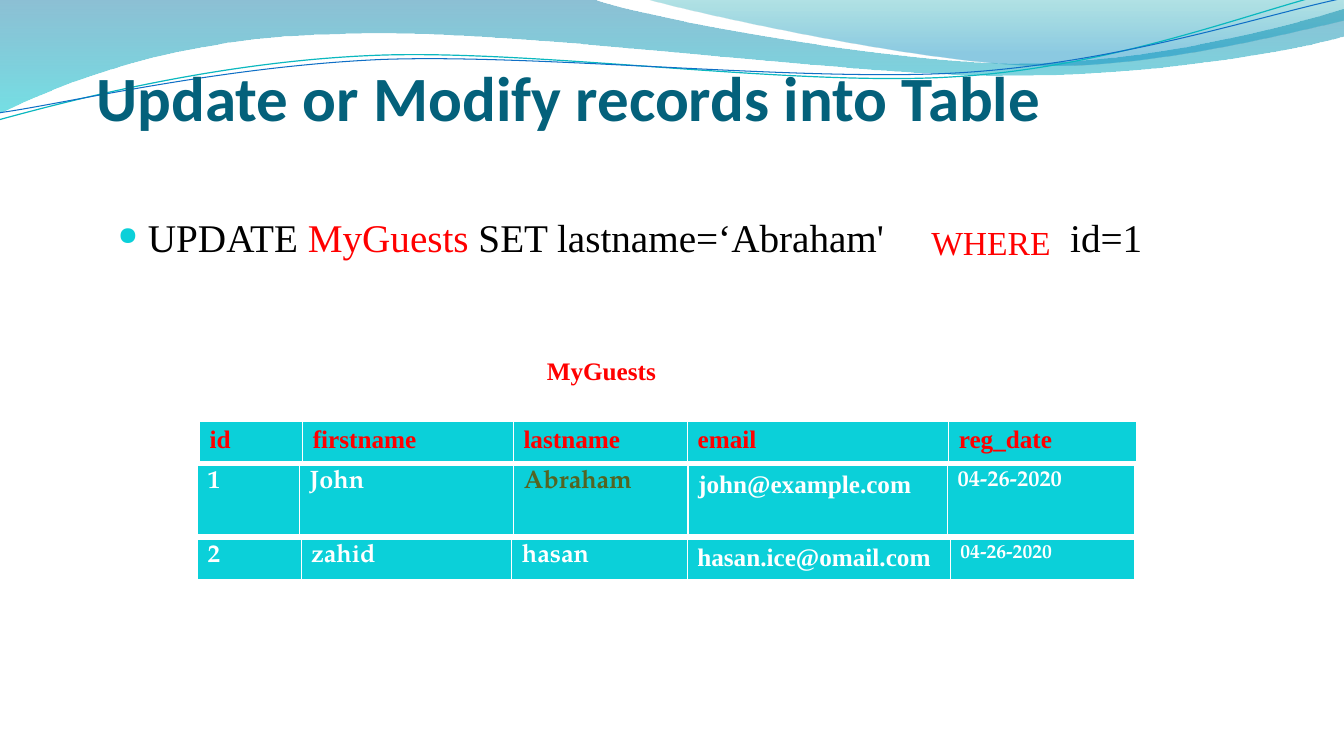
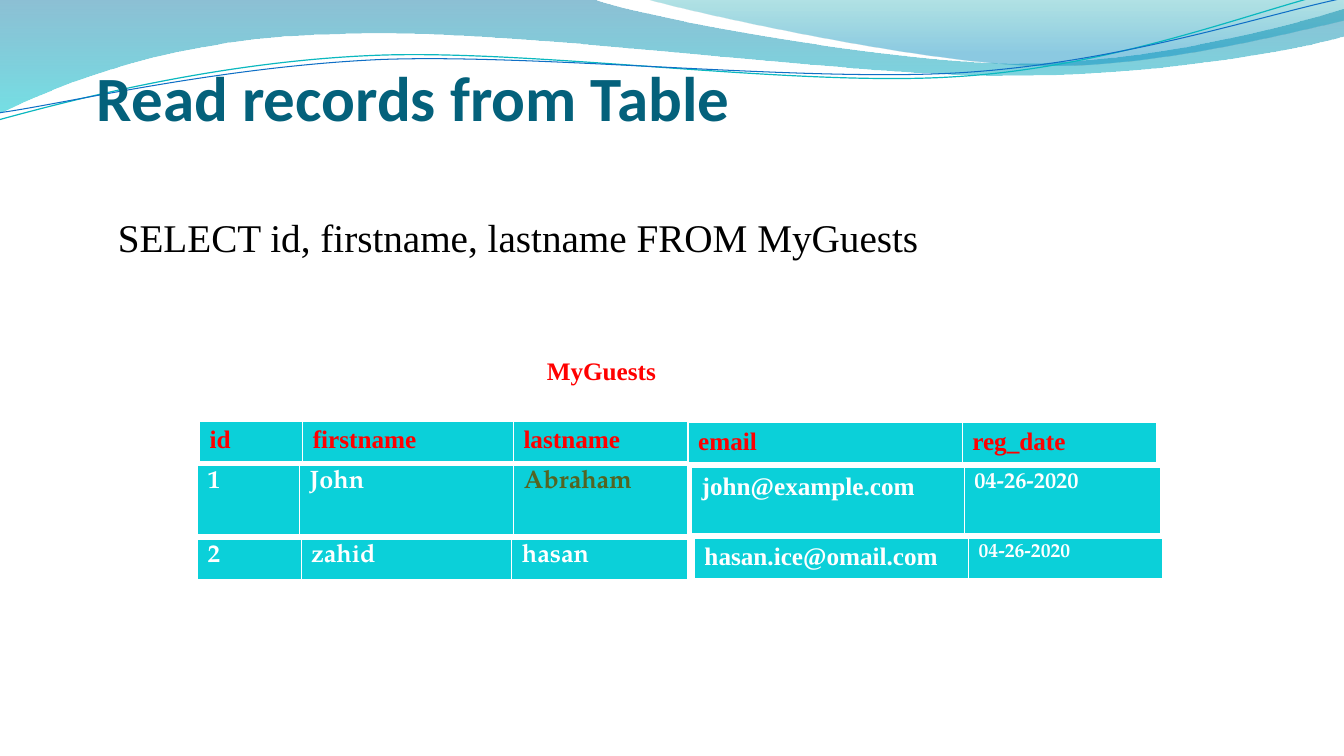
from dataclasses import dataclass

from lxml import etree
from pptx import Presentation
from pptx import util as u
from pptx.dml.color import RGBColor
from pptx.enum import text
from pptx.oxml.ns import qn


@dataclass(frozen=True)
class Theme:
    title: str = "04617B"
    ink: str = "000000"
    accent: str = "FF0000"
    cell: str = "0BD0D9"
    white: str = "FFFFFF"
    changed: str = "546422"
    title_font: str = "Calibri"
    body_font: str = "Times New Roman"
    cell_font: str = "TeX Gyre Pagella"
    title_size: float = 45
    body_size: float = 28
    where_size: float = 24
    table_size: float = 18
    date_size: float = 16
    small_date_size: float = 14


T = Theme()

# Bands: (start, segments, gradient stops as colour, position, opacity).
# A segment is a line (x, y) or a Bezier curve (x1, y1, x2, y2, x, y), in cm.
BANDS = [
    ((0, 0),
     [(14.91, -0.03), (16.1, 0.43, 22.48, 1.6, 25.68, 1.6),
      (28.91, 1.6, 32.46, 0.66, 33.86, 0.23), (33.91, 0.91),
      (33.3, 1.12, 29.46, 1.93, 25.25, 1.91),
      (21.06, 1.91, 12.93, 0.71, 8.71, 0.86),
      (4.37, 0.91, 1.55, 2.11, -0.03, 2.87)],
     [("0074A1", 0, 45), ("00C6CF", 1, 55)]),
    ((16.23, -0.03),
     [(17.25, 0.28, 23.09, 1.57, 26.04, 1.65),
      (28.98, 1.75, 32.56, 0.81, 33.86, 0.53), (33.86, 0)],
     [("00A1A9", 0, 30), ("008BBF", 0.8, 45)]),
]
# Thin waves: (start, segments, colour, width)
WAVES = [
    ((-0.03, 3.02),
     [(1.63, 2.57, 5.36, 1.57, 9.37, 1.4),
      (13.39, 1.22, 20.07, 2.21, 24.13, 1.93),
      (28.19, 1.68, 31.8, 0.2, 33.81, -0.25)], "0AB8BF", 0.85),
    ((0, 2.84),
     [(1.6, 2.62, 5.54, 1.68, 9.6, 1.5),
      (13.64, 1.35, 20.22, 2.08, 24.26, 1.83),
      (28.32, 1.57, 31.88, 0.36, 33.88, -0.05)], "0F6FC6", 0.75),
]

# Table rows: cells as (text, size, font, colour)
HEADER = [(name, T.table_size, T.body_font, T.accent)
          for name in ("id", "firstname", "lastname", "email", "reg_date")]
JOHN = [("1", T.table_size, T.cell_font, T.white),
        ("John", T.table_size, T.cell_font, T.white),
        ("Abraham", T.table_size, T.cell_font, T.changed),
        ("john@example.com", T.table_size, T.body_font, T.white),
        ("04-26-2020", T.date_size, T.cell_font, T.white)]
ZAHID = [("2", T.table_size, T.cell_font, T.white),
         ("zahid", T.table_size, T.cell_font, T.white),
         ("hasan", T.table_size, T.cell_font, T.white),
         ("hasan.ice@omail.com", T.table_size, T.body_font, T.white),
         ("04-26-2020", T.small_date_size, T.cell_font, T.white)]

# Slides: title, statement runs (text, colour, letter spacing if any), keyword
# set apart, strips (left, top, height, widths, cells)
SLIDES = [
    ("Update or Modify records into Table",
     [("UPDATE ", T.ink), ("MyGuests", T.accent), (" SET lastname=‘Abraham'", T.ink),
      (" ", T.ink, 126), ("id=1", T.ink)],
     "WHERE",
     [(5.03, 10.62, 1.04, (2.6, 5.31, 4.39, 6.58, 4.74), HEADER),
      (4.98, 11.73, 1.78, (2.57, 5.4, 4.39, 6.54, 4.72), JOHN),
      (4.98, 13.59, 1.04, (2.61, 5.31, 4.42, 6.63, 4.65), ZAHID)]),
    ("Read records from Table",
     [("SELECT id, firstname, lastname FROM MyGuests", T.ink)],
     None,
     [(5.03, 10.62, 1.04, (2.6, 5.31, 4.39), HEADER[:3]),
      (4.98, 11.73, 1.78, (2.57, 5.4, 4.39), JOHN[:3]),
      (4.98, 13.59, 1.04, (2.61, 5.31, 4.42), ZAHID[:3]),
      (17.34, 10.65, 1.04, (6.91, 4.9), HEADER[3:]),
      (17.43, 11.78, 1.7, (6.87, 4.95), JOHN[3:]),
      (17.5, 13.56, 1.04, (6.91, 4.9), ZAHID[3:])]),
]


def format_run(r, size, font, color, bold):
    r.font.size, r.font.name, r.font.bold = u.Pt(size), font, bold
    r.font.color.rgb = RGBColor.from_string(color)


def add_text(s, box, runs, size, font, bold=False, before=0):
    tb = s.shapes.add_textbox(*map(u.Cm, box))
    tf = tb.text_frame
    tf.word_wrap = True
    p = tf.paragraphs[0]
    p.space_before = u.Pt(before)
    for words, color, *spacing in runs:
        r = p.add_run()
        r.text = words
        format_run(r, size, font, color, bold)
        if spacing:
            r._r.get_or_add_rPr().set("spc", str(spacing[0] * 100))
    return tf


prs = Presentation()
prs.slide_width, prs.slide_height = u.Cm(33.87), u.Cm(19.05)

for title, statement, keyword, strips in SLIDES:
    s = prs.slides.add_slide(prs.slide_layouts[6])

    # Header bands and waves
    for start, segments, *style in BANDS + WAVES:
        is_band = len(style) == 1
        builder = s.shapes.build_freeform(*map(u.Cm, start))
        builder.add_line_segments([tuple(map(u.Cm, seg[-2:])) for seg in segments],
                                  close=is_band)
        sp = builder.convert_to_shape()
        sp.shadow.inherit = False
        # Bend the straight segments that have control points
        for line, seg in zip(list(sp.element.iter(qn("a:lnTo"))), segments):
            if len(seg) == 6:
                curve = etree.Element(qn("a:cubicBezTo"))
                for x, y in zip(seg[::2], seg[1::2]):
                    etree.SubElement(curve, qn("a:pt"), x=str(u.Cm(x) - sp.left),
                                     y=str(u.Cm(y) - sp.top))
                line.getparent().replace(line, curve)
        if is_band:
            sp.line.fill.background()
            sp.fill.gradient()
            sp.fill.gradient_angle = 270
            for stop, (color, position, _) in zip(sp.fill.gradient_stops, style[0]):
                stop.color.rgb = RGBColor.from_string(color)
                stop.position = position
            colors = sp.element.spPr.iter(qn("a:srgbClr"))
            for clr, (_, _, opacity) in zip(colors, style[0]):
                etree.SubElement(clr, qn("a:alpha"), val=str(opacity * 1000))
        else:
            sp.fill.background()
            sp.line.color.rgb = RGBColor.from_string(style[0])
            sp.line.width = u.Pt(style[1])

    # Title
    tf = add_text(s, (2.44, 1.83, 27.23, 1.55), [(title, T.title)],
                  T.title_size, T.title_font, bold=True)
    tf.vertical_anchor = text.MSO_ANCHOR.BOTTOM
    tf.margin_left = tf.margin_right = tf.margin_bottom = 0

    # SQL statement, with a bullet where a keyword is set apart
    tf = add_text(s, (2.72, 5.26, 27.51, 2.95), statement,
                  T.body_size, T.body_font, before=6.3)
    if keyword:
        pPr = tf.paragraphs[0]._p.get_or_add_pPr()
        pPr.set("marL", str(u.Cm(0.76)))
        pPr.set("indent", str(-u.Cm(0.76)))
        bu_clr = etree.SubElement(pPr, qn("a:buClr"))
        etree.SubElement(bu_clr, qn("a:srgbClr"), val=T.cell)
        etree.SubElement(pPr, qn("a:buSzPct"), val="65000")
        etree.SubElement(pPr, qn("a:buChar"), char="●")

    # Table name
    add_text(s, (13.53, 8.84, 3.3, 1.02), [("MyGuests", T.accent)],
             T.table_size, T.body_font, bold=True)

    # Table strips
    for left, top, height, widths, cells in strips:
        tbl = s.shapes.add_table(1, len(cells), u.Cm(left), u.Cm(top),
                                 u.Cm(sum(widths)), u.Cm(height)).table
        tbl.first_row = tbl.horz_banding = False
        for col, width, cell, (words, *style) in zip(tbl.columns, widths, tbl.rows[0].cells, cells):
            col.width = u.Cm(width)
            tcPr = cell._tc.get_or_add_tcPr()
            for side, points in (("L", 1), ("R", 1), ("T", 1), ("B", 3)):
                ln = etree.SubElement(tcPr, qn("a:ln" + side), w=str(u.Pt(points)))
                fill = etree.SubElement(ln, qn("a:solidFill"))
                etree.SubElement(fill, qn("a:srgbClr"), val=T.white)
            cell.fill.solid()
            cell.fill.fore_color.rgb = RGBColor.from_string(T.cell)
            cell.text_frame.text = words
            format_run(cell.text_frame.paragraphs[0].runs[0], *style, bold=True)

    # Keyword
    if keyword:
        add_text(s, (23.22, 5.47, 3.61, 1.27), [(keyword, T.accent)], T.where_size, T.body_font)

prs.save("out.pptx")
